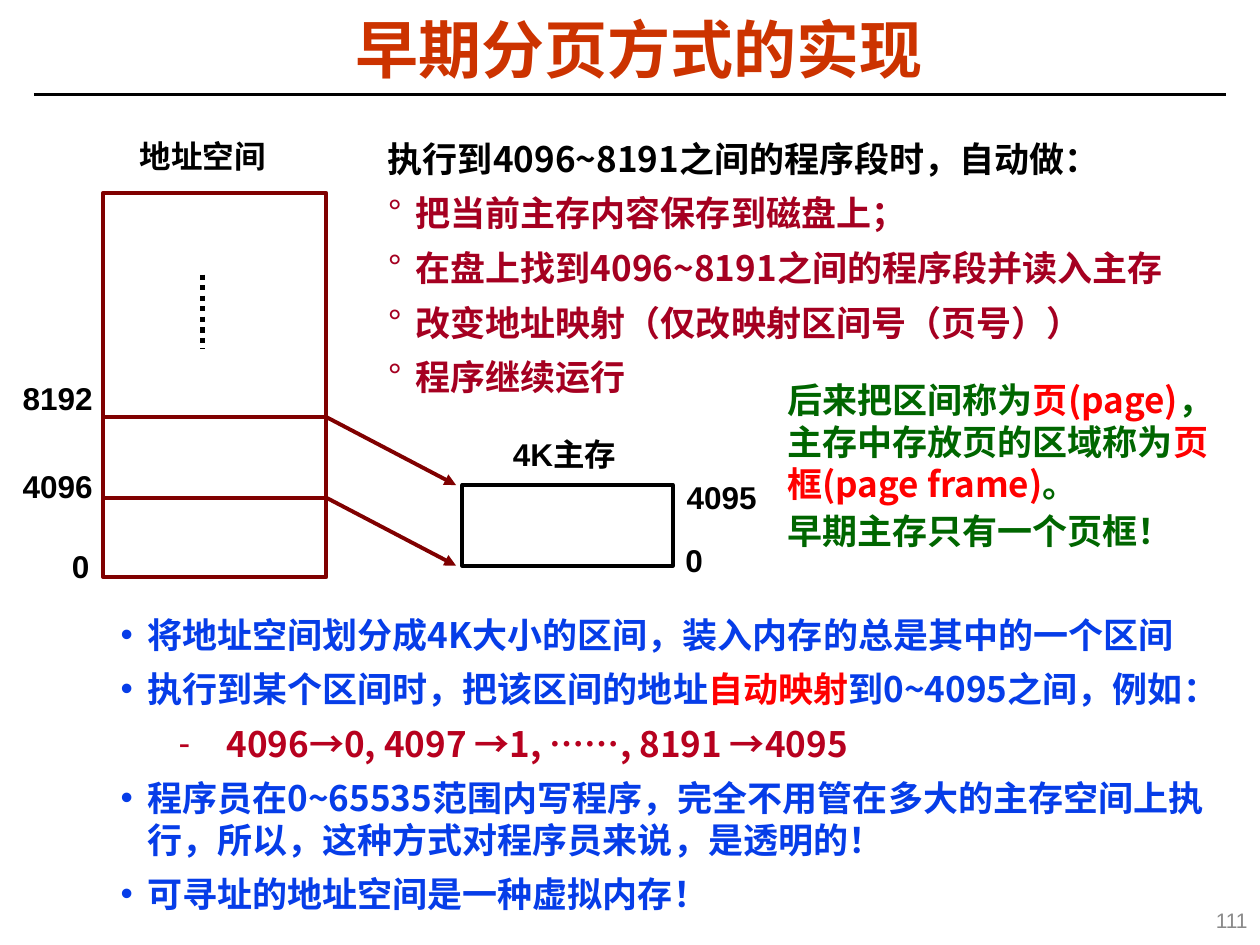
from dataclasses import dataclass
from typing import Optional

from lxml.etree import SubElement
from pptx import Presentation
from pptx.dml.color import RGBColor
from pptx.enum.dml import MSO_LINE
from pptx.enum.shapes import MSO_CONNECTOR, MSO_SHAPE
from pptx.enum.text import MSO_ANCHOR, PP_ALIGN
from pptx.oxml.ns import qn
from pptx.util import Emu, Pt

SCALE = 9144
SANS = "Arial"
CJK = "Noto Sans CJK SC"
COLORS = {
    "black": "000000", "white": "FFFFFF", "orange": "CC3300", "maroon": "800000",
    "crimson": "A50021", "ruby": "B7011F", "blue": "063DE8", "red": "FF0000",
    "green": "006600", "gray": "898989",
}


@dataclass(frozen=True)
class Style:
    size: int
    color: str
    font: str = CJK
    bold: bool = True
    align: Optional[PP_ALIGN] = None
    line_spacing: Optional[float] = None
    space_before: int = 0
    margin: int = 0
    hanging: int = 0
    bullet: str = ""


@dataclass(frozen=True)
class Line:
    style: Style
    spans: tuple


@dataclass(frozen=True)
class Label:
    text: str
    left: int
    top: int
    width: int


@dataclass(frozen=True)
class Stroke:
    start: tuple
    end: tuple
    color: str = "maroon"
    weight: float = 2.25
    dotted: bool = False
    arrow: bool = False


def px(value: int) -> Emu:
    return Emu(value * SCALE)


def rgb(name: str) -> RGBColor:
    return RGBColor.from_string(COLORS[name])


def format_paragraph(paragraph, style: Style, first: bool) -> None:
    properties = paragraph._p.get_or_add_pPr()
    if style.align is not None:
        paragraph.alignment = style.align
    if style.line_spacing:
        paragraph.line_spacing = style.line_spacing
    if style.space_before and not first:
        paragraph.space_before = Pt(style.space_before)
    if style.margin:
        properties.set("marL", str(px(style.margin)))
        properties.set("indent", str(-px(style.hanging)))
    if style.bullet:
        SubElement(properties, qn("a:buFont")).set("typeface", SANS)
        SubElement(properties, qn("a:buChar")).set("char", style.bullet)
    font = paragraph.font
    font.size, font.bold, font.name = Pt(style.size), style.bold, style.font
    font.color.rgb = rgb(style.color)
    SubElement(properties.get_or_add_defRPr(), qn("a:ea")).set("typeface", CJK)


def write_lines(frame, lines: list[Line]) -> None:
    frame.word_wrap = True
    for index, line in enumerate(lines):
        paragraph = frame.add_paragraph() if index else frame.paragraphs[0]
        format_paragraph(paragraph, line.style, index == 0)
        for span in line.spans:
            text, color = span if isinstance(span, tuple) else (span, None)
            run = paragraph.add_run()
            run.text = text
            if color:
                run.font.color.rgb = rgb(color)


def add_text(slide, box: tuple, lines: list[Line], inset: bool = False):
    frame = slide.shapes.add_textbox(*map(px, box)).text_frame
    if not inset:
        frame.margin_left = frame.margin_right = 0
        frame.margin_top = frame.margin_bottom = 0
    write_lines(frame, lines)
    return frame


def add_box(slide, box: tuple, color: str) -> None:
    shape = slide.shapes.add_shape(MSO_SHAPE.RECTANGLE, *map(px, box))
    shape.shadow.inherit = False
    shape.fill.solid()
    shape.fill.fore_color.rgb = rgb("white")
    shape.line.color.rgb = rgb(color)
    shape.line.width = Pt(2.25)


def add_stroke(slide, stroke: Stroke) -> None:
    connector = slide.shapes.add_connector(
        MSO_CONNECTOR.STRAIGHT, *map(px, stroke.start + stroke.end))
    connector.line.color.rgb = rgb(stroke.color)
    connector.line.width = Pt(stroke.weight)
    if stroke.dotted:
        connector.line.dash_style = MSO_LINE.ROUND_DOT
    if stroke.arrow:
        SubElement(connector.line._get_or_add_ln(), qn("a:tailEnd")).set("type", "triangle")
    SubElement(connector._element.spPr, qn("a:effectLst"))


def main() -> None:
    presentation = Presentation()
    presentation.slide_width, presentation.slide_height = px(1000), px(750)
    slide = presentation.slides.add_slide(presentation.slide_layouts[5])

    title = slide.shapes.title
    title.left, title.top, title.width, title.height = map(px, (26, 14, 963, 58))
    title.text_frame.vertical_anchor = MSO_ANCHOR.MIDDLE
    title_style = Style(36, "orange", SANS, align=PP_ALIGN.CENTER, line_spacing=0.87)
    write_lines(title.text_frame, [Line(title_style, ("早期分页方式的实现",))])
    add_stroke(slide, Stroke((27, 75), (973, 75), "black", 1.5))

    point = Style(20, "blue", space_before=7, margin=75, hanging=21, bullet="•")
    example = Style(20, "ruby", space_before=7, margin=138, hanging=38, bullet="-")
    add_text(slide, (32, 482, 936, 258), [
        Line(point, ("将地址空间划分成4K大小的区间，装入内存的总是其中的一个区间",)),
        Line(point, ("执行到某个区间时，把该区间的地址", ("自动映射", "red"),
                     "到0~4095之间，例如：")),
        Line(example, ("4096→0, 4097 →1, ……, 8191 →4095",)),
        Line(point, ("程序员在0~65535范围内写程序，完全不用管在多大的主存空间上执行，"
                     "所以，这种方式对程序员来说，是透明的！",)),
        Line(point, ("可寻址的地址空间是一种虚拟内存！",)),
    ], inset=True)

    space_left, space_right = 82, 259
    memory_left, memory_top, memory_height = 367, 385, 64
    add_box(slide, (space_left, 153, space_right - space_left, 305), "maroon")
    add_box(slide, (memory_left, memory_top, 167, memory_height), "black")
    for boundary, target in ((331, memory_top), (395, memory_top + memory_height)):
        add_stroke(slide, Stroke((space_left, boundary), (space_right, boundary)))
        add_stroke(slide, Stroke((space_right, boundary), (memory_left - 5, target), arrow=True))
    add_stroke(slide, Stroke((161, 218), (161, 277), "black", 3, dotted=True))

    label_style = Style(18, "black", SANS)
    for label in (
        Label("地址空间", 111, 109, 207),
        Label("4K主存", 407, 345, 113),
        Label("4095", 545, 379, 74),
        Label("0", 544, 429, 44),
        Label("8192", 18, 301, 74),
        Label("4096", 18, 371, 59),
        Label("0", 57, 434, 44),
    ):
        add_text(slide, (label.left, label.top, label.width, 30),
                 [Line(label_style, (label.text,))])

    heading = Style(20, "black", line_spacing=1.3, margin=22, hanging=22)
    step = Style(20, "crimson", line_spacing=1.3, margin=22, hanging=22, bullet="°")
    steps = ("把当前主存内容保存到磁盘上；", "在盘上找到4096~8191之间的程序段并读入主存",
             "改变地址映射（仅改映射区间号（页号））", "程序继续运行")
    add_text(slide, (298, 94, 664, 281),
             [Line(heading, ("执行到4096~8191之间的程序段时，自动做：",))]
             + [Line(step, (text,)) for text in steps], inset=True)

    remark = Style(20, "green", space_before=3)
    add_text(slide, (625, 300, 354, 138), [
        Line(remark, ("后来把区间称为", ("页(page)", "red"), "，主存中存放页的区域称为",
                      ("页框(page frame)", "red"), "。")),
        Line(remark, ("早期主存只有一个页框！",)),
    ])

    number_style = Style(12, "gray", SANS, bold=False, align=PP_ALIGN.RIGHT)
    number = add_text(slide, (775, 710, 225, 40), [Line(number_style, ("111",))], inset=True)
    number.vertical_anchor = MSO_ANCHOR.MIDDLE

    presentation.save("out.pptx")


if __name__ == "__main__":
    main()
